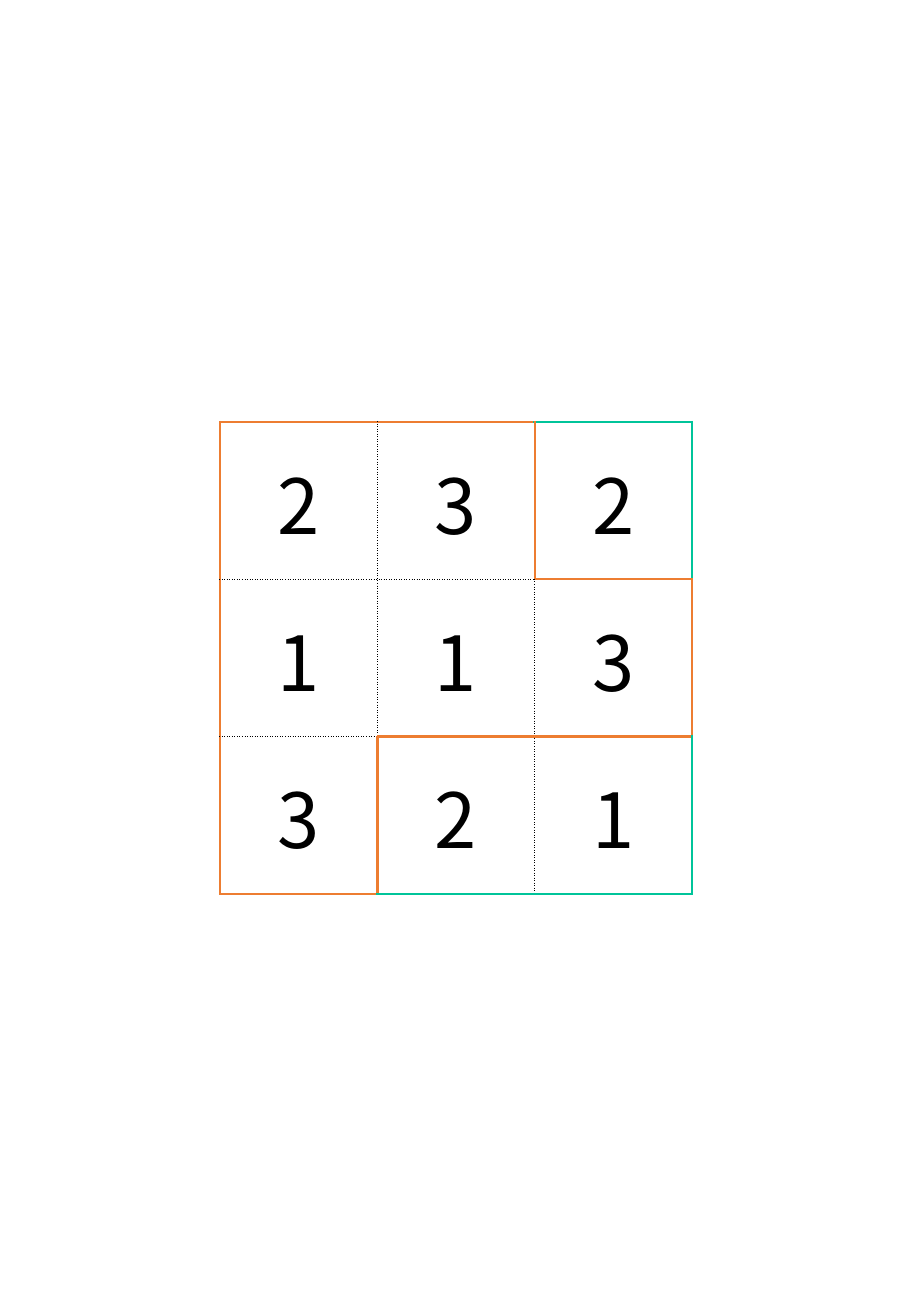
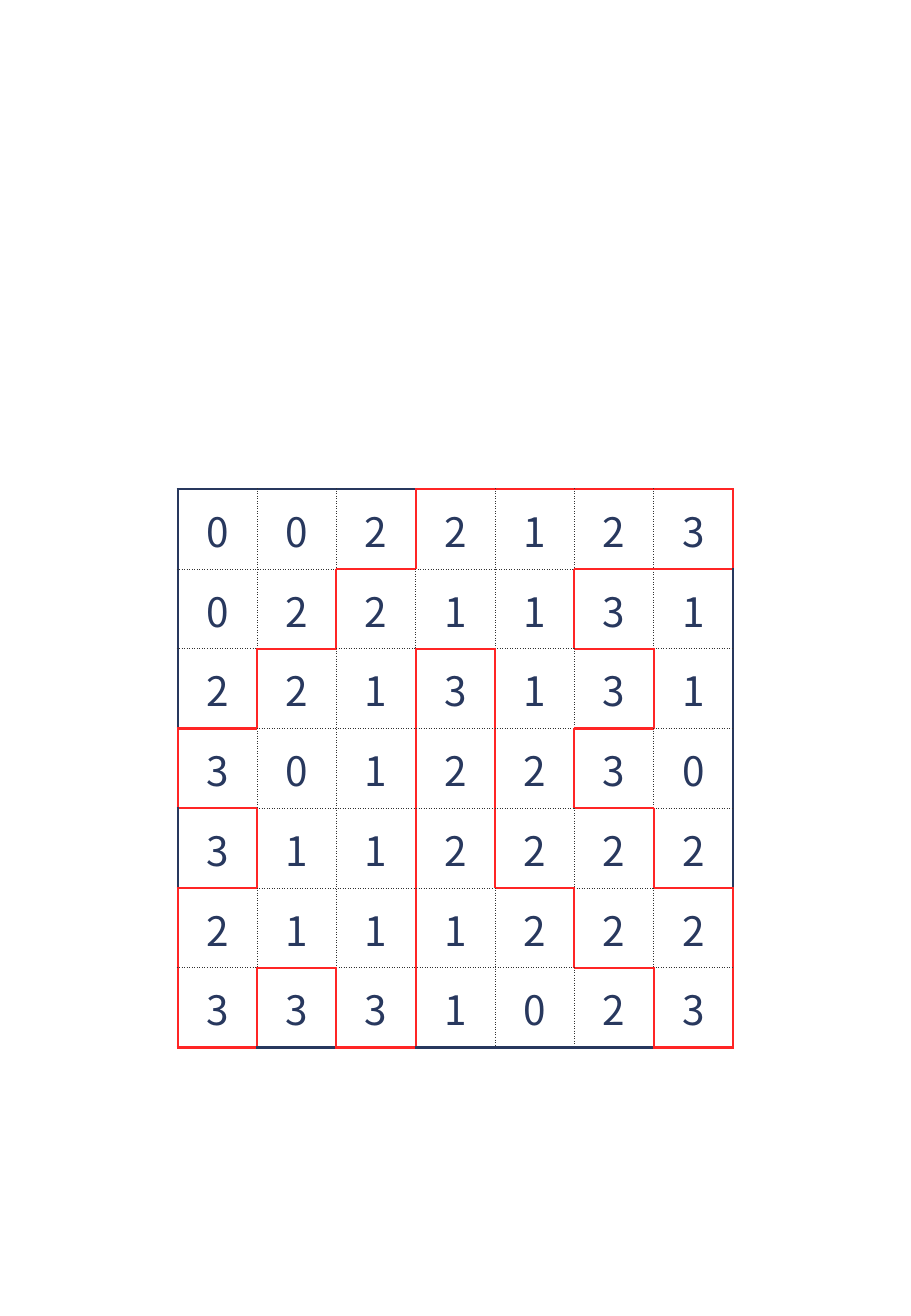
from dataclasses import dataclass

from lxml import etree
from pptx import Presentation
from pptx.dml.color import RGBColor
from pptx.enum.text import MSO_ANCHOR, PP_ALIGN
from pptx.oxml.ns import qn
from pptx.util import Inches, Pt

MIDDLE = MSO_ANCHOR.MIDDLE
CENTER = PP_ALIGN.CENTER
FONT = "Noto Sans CJK JP"
BLANK_LAYOUT = 6
EMPTY = " "
OUTSIDE = "."
LINE_WIDTH = 1.5
DOT_WIDTH = 0.5
# Border tag with the row and column step to the neighbour, in schema order
SIDES = (("a:lnL", 0, -1), ("a:lnR", 0, 1), ("a:lnT", -1, 0), ("a:lnB", 1, 0))


@dataclass
class Puzzle:
    box: tuple      # left, top, width, height, with one empty ring of cells
    clues: list     # one digit per cell
    region: list    # "#" marks the cells inside the loop
    font_size: int
    text_color: str
    loop_color: str
    frame_color: str
    dot_color: str


SMALL_PUZZLE = Puzzle(
    box=(0.52, 2.18, 6.47, 6.47),
    clues=["232",
           "113",
           "321"],
    region=["##.",
            "###",
            "#.."],
    font_size=45,
    text_color="000000",
    loop_color="ED7D31",
    frame_color="00C49A",
    dot_color="000000",
)
LARGE_PUZZLE = Puzzle(
    box=(0.81, 3.37, 5.88, 5.91),
    clues=["0022123",
           "0221131",
           "2213131",
           "3012230",
           "3112222",
           "2111222",
           "3331023"],
    region=["...####",
            "..###..",
            ".##.##.",
            "###.#..",
            ".##.##.",
            "###..##",
            "#.#...#"],
    font_size=24,
    text_color="28385E",
    loop_color="FF2525",
    frame_color="28385E",
    dot_color="333333",
)


def rgb(color):
    return RGBColor.from_string(color)


def add_ring(rows, filler):
    """Surround the rows with one ring of filler cells."""
    edge = filler * (len(rows[0]) + 2)
    return [edge, *(filler + row + filler for row in rows), edge]


def add_border(cell, tag, color=None, width=0, dash="solid"):
    """Draw one side of a cell, or clear it if there is no colour."""
    line = etree.SubElement(cell._tc.get_or_add_tcPr(), qn(tag), w=str(Pt(width)))
    if color is None:
        etree.SubElement(line, qn("a:noFill"))
        return
    fill = etree.SubElement(line, qn("a:solidFill"))
    etree.SubElement(fill, qn("a:srgbClr"), val=color)
    etree.SubElement(line, qn("a:prstDash"), val=dash)


def border_style(puzzle, clues, region, here, there):
    """Return colour, width and dash of the line between two cells."""
    (row, column), (next_row, next_column) = here, there
    size = len(clues)
    if not (0 <= next_row < size and 0 <= next_column < size):
        return ()
    # The loop separates inside from outside
    if region[row][column] != region[next_row][next_column]:
        return puzzle.loop_color, LINE_WIDTH
    # Dots lie between two clues, the frame between a clue and the ring
    has_clue = [clues[row][column] != EMPTY,
                clues[next_row][next_column] != EMPTY]
    if all(has_clue):
        return puzzle.dot_color, DOT_WIDTH, "sysDot"
    if any(has_clue):
        return puzzle.frame_color, LINE_WIDTH
    return ()


def write_clue(cell, clue, puzzle):
    cell.vertical_anchor = MIDDLE
    cell.margin_left = cell.margin_right = cell.margin_top = Inches(0.01)
    cell.margin_bottom = 0
    para = cell.text_frame.paragraphs[0]
    para.text = clue
    para.alignment = CENTER
    font = para.runs[0].font
    font.name = FONT
    font.size = Pt(puzzle.font_size)
    font.color.rgb = rgb(puzzle.text_color)


def add_puzzle(page, puzzle):
    clues = add_ring(puzzle.clues, EMPTY)
    region = add_ring(puzzle.region, OUTSIDE)
    size = len(clues)
    box = [Inches(length) for length in puzzle.box]
    table = page.shapes.add_table(size, size, *box).table
    table.first_row = table.horz_banding = False

    for row, clue_row in enumerate(clues):
        for column, clue in enumerate(clue_row):
            cell = table.cell(row, column)
            # Borders come before the fill in the cell properties
            for tag, down, right in SIDES:
                there = (row + down, column + right)
                style = border_style(puzzle, clues, region, (row, column), there)
                add_border(cell, tag, *style)
            cell.fill.background()
            if clue != EMPTY:
                write_clue(cell, clue, puzzle)


def main():
    deck = Presentation()
    deck.slide_width = Inches(7.5)
    deck.slide_height = Inches(10.83)
    for puzzle in (SMALL_PUZZLE, LARGE_PUZZLE):
        page = deck.slides.add_slide(deck.slide_layouts[BLANK_LAYOUT])
        add_puzzle(page, puzzle)
    deck.save("out.pptx")


if __name__ == "__main__":
    main()
